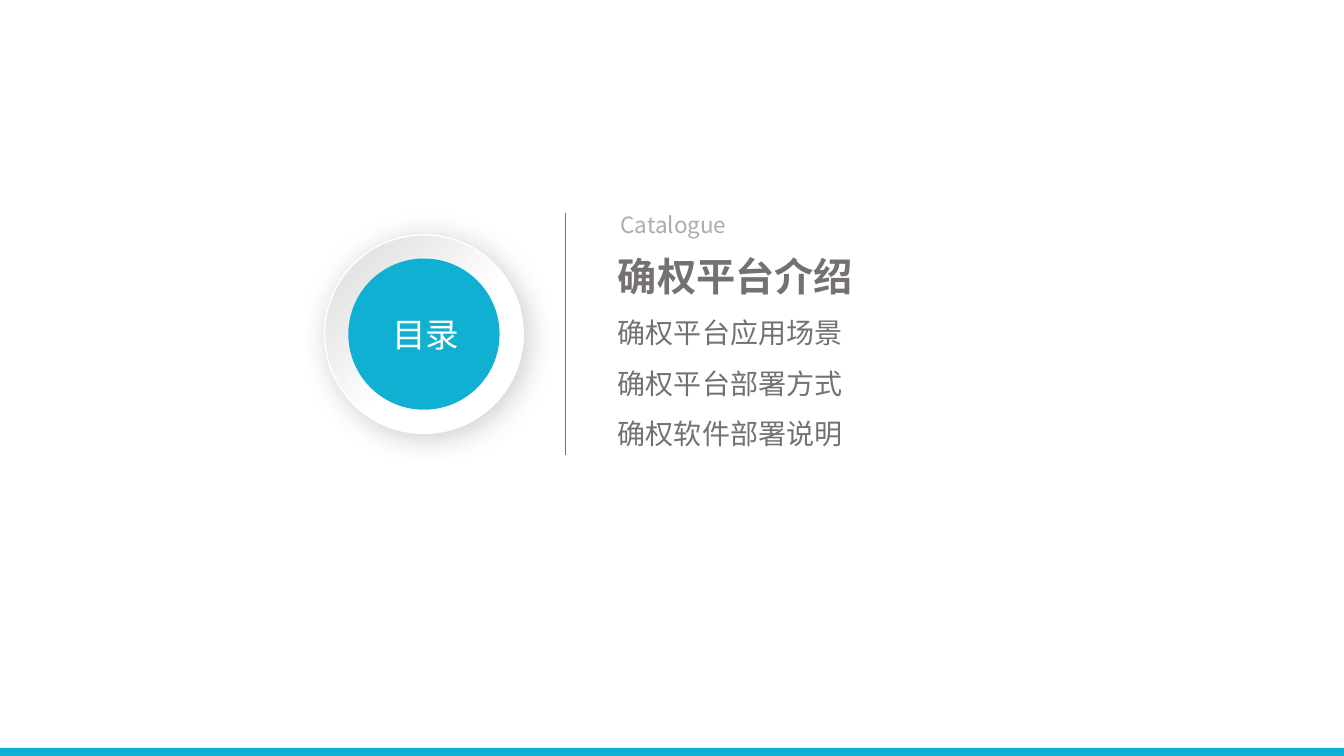
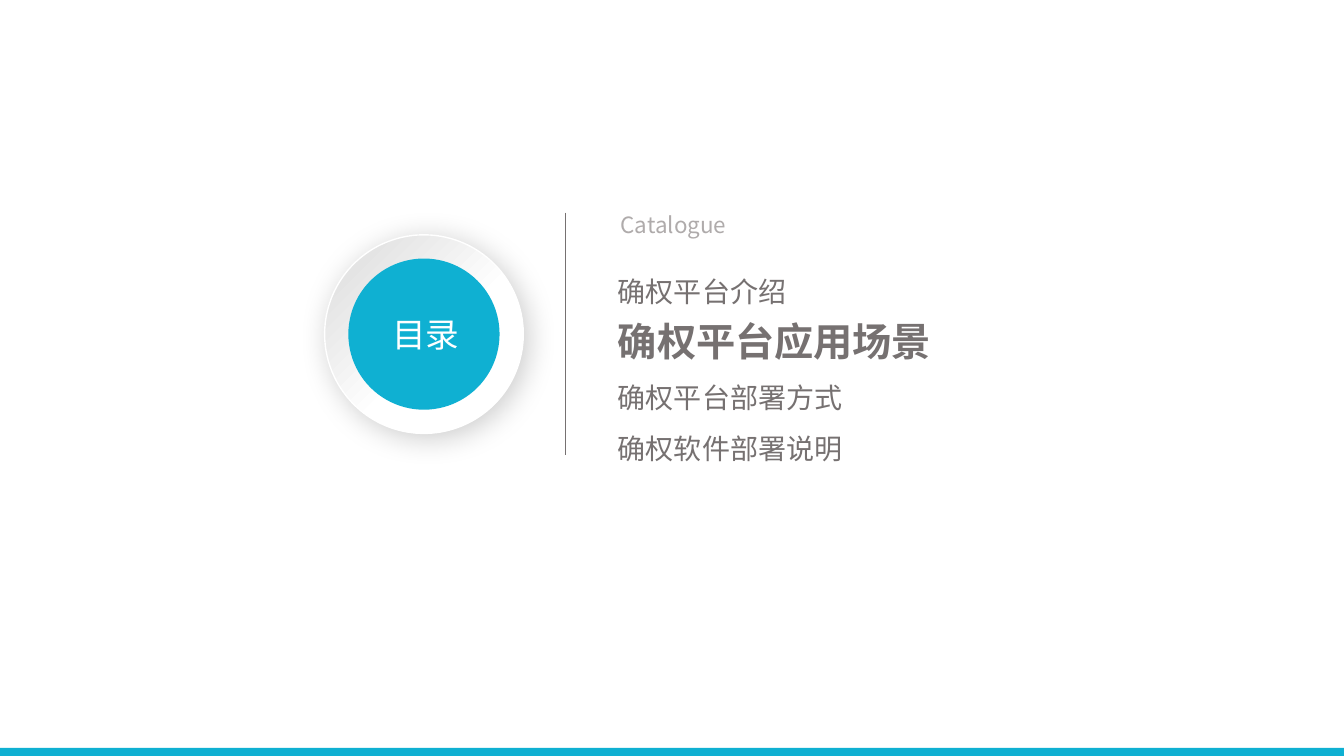
from lxml import etree
from pptx import Presentation
from pptx.dml.color import RGBColor
from pptx.enum import shapes, text
from pptx.oxml import ns
from pptx.util import Inches, Pt

FONT = "Noto Sans CJK SC"
ACCENT, WHITE, SILVER = "0FB0D2", "FFFFFF", "D9D9D9"
DARK_GREY, LIGHT_GREY = "767171", "AFABAB"
WIDTH, HEIGHT = 13.33, 7.5
TOPICS = ["确权平台介绍", "确权平台应用场景", "确权平台部署方式", "确权软件部署说明"]


def color(hex_value):
    return RGBColor.from_string(hex_value)


def add_child(parent, tag, **attributes):
    return etree.SubElement(parent, ns.qn(tag), attributes)


def style_run(run, size, hex_value, bold=False):
    font = run.font
    font.size, font.bold, font.name = Pt(size), bold, FONT
    font.color.rgb = color(hex_value)
    add_child(font._element, "a:ea", typeface=FONT)


def add_text_box(parent, left, top, width, height, lines):
    shape = parent.add_textbox(Inches(left), Inches(top), Inches(width), Inches(height))
    frame = shape.text_frame
    frame.text = "\n".join(lines)
    frame.word_wrap = True
    return frame.paragraphs


def add_label(parent, left, top, width, height, label, size, hex_value):
    paragraph, = add_text_box(parent, left, top, width, height, [label])
    paragraph.alignment = text.PP_ALIGN.CENTER
    style_run(paragraph.runs[0], size, hex_value)


def add_plain_shape(parent, kind, left, top, width, height, fill):
    shape = parent.add_shape(kind, Inches(left), Inches(top), Inches(width), Inches(height))
    shape.shadow.inherit = False
    shape.fill.solid()
    shape.fill.fore_color.rgb = color(fill)
    shape.line.fill.background()
    return shape


def add_soft_shadow(shape):
    effects = shape._element.spPr.find(ns.qn("a:effectLst"))
    shadow = add_child(effects, "a:outerShdw", blurRad=str(Pt(21)), dist=str(Pt(4)),
                       dir=str(45 * 60000), algn="tl", rotWithShape="0")
    tint = add_child(shadow, "a:srgbClr", val="000000")
    add_child(tint, "a:alpha", val="20000")


def add_badge(slide, left, top, size):
    """Raised ring around an accent disc that carries the section name."""
    group = slide.shapes.add_group_shape().shapes
    oval = shapes.MSO_SHAPE.OVAL
    ring = add_plain_shape(group, oval, left, top, size, size, WHITE)
    ring.fill.gradient()
    ring.fill.gradient_angle = 315
    for stop, (position, shade) in zip(ring.fill.gradient_stops, [(0, SILVER), (0.57, WHITE)]):
        stop.position = position
        stop.color.rgb = color(shade)
    ring.line.color.rgb = color(WHITE)
    ring.line.width = Pt(1)
    add_soft_shadow(ring)

    disc = 1.5
    inset = (size - disc) / 2
    add_plain_shape(group, oval, left + inset, top + inset, disc, disc, ACCENT)
    add_label(group, left + inset + 0.02, top + 0.74, disc, 0.5, "目录", 24, WHITE)


def add_divider(slide, left, top, height):
    line = slide.shapes.add_connector(shapes.MSO_CONNECTOR.STRAIGHT, Inches(left), Inches(top),
                                      Inches(left), Inches(top + height))
    line.line.color.rgb = color(DARK_GREY)
    line.line.width = Pt(0.5)
    add_child(line._element.spPr, "a:effectLst")


def add_topics(slide, left, top, current, pitch):
    """Topic list; lines up to the current topic have a fixed pitch in points."""
    add_label(slide.shapes, left, top, 1.3, 0.37, "Catalogue", 16, LIGHT_GREY)
    paragraphs = add_text_box(slide.shapes, left, top + 0.4, 3.52, 2.1, TOPICS)
    for index, paragraph in enumerate(paragraphs):
        active = index == current
        paragraph.line_spacing = Pt(pitch) if index <= current else 1.5
        style_run(paragraph.runs[0], 28 if active else 20, DARK_GREY, active)


def add_footer(slide, height):
    add_plain_shape(slide.shapes, shapes.MSO_SHAPE.RECTANGLE,
                    0, HEIGHT - height, WIDTH, height, ACCENT)


def add_catalogue_slide(presentation, current, pitch):
    slide = presentation.slides.add_slide(presentation.slide_layouts[6])
    add_badge(slide, 3.22, 2.33, 1.97)
    add_divider(slide, 5.61, 2.11, 2.4)
    add_topics(slide, 6.03, 2.05, current, pitch)
    add_footer(slide, 0.08)


def main():
    presentation = Presentation()
    presentation.slide_width, presentation.slide_height = Inches(WIDTH), Inches(HEIGHT)
    for current, pitch in enumerate([33.8, 40]):
        add_catalogue_slide(presentation, current, pitch)
    presentation.save("out.pptx")


if __name__ == "__main__":
    main()
